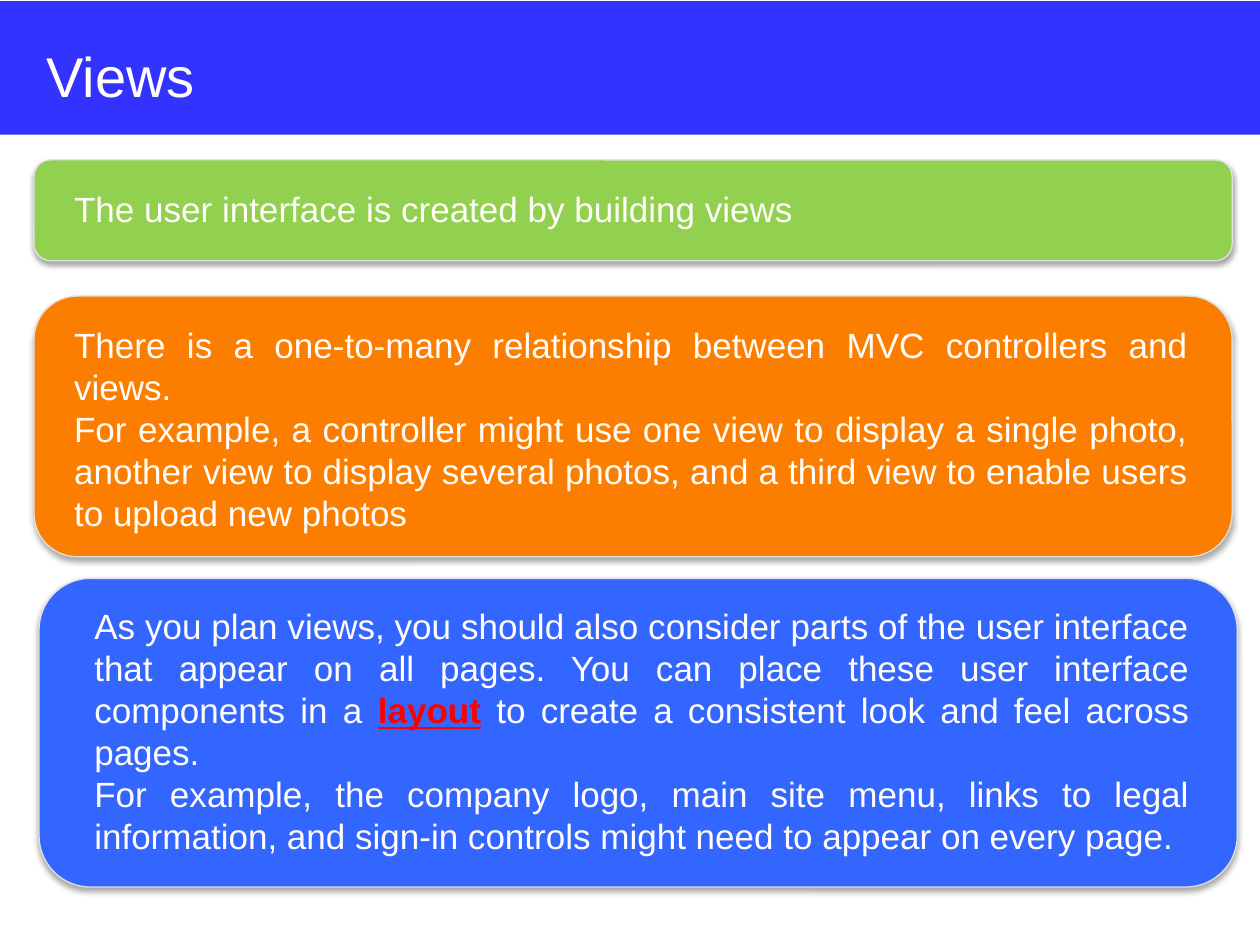
from lxml import etree
from pptx import Presentation
from pptx.dml.color import RGBColor
from pptx.enum.shapes import MSO_SHAPE as SHAPE
from pptx.enum.text import MSO_ANCHOR as ANCHOR, PP_ALIGN as ALIGN
from pptx.oxml import parse_xml
from pptx.oxml.ns import nsdecls
from pptx.util import Pt

BANNER = RGBColor(0x33, 0x33, 0xFF)
GREEN = RGBColor(0x92, 0xD0, 0x50)
ORANGE = RGBColor(0xFC, 0x7E, 0x00)
BLUE = RGBColor(0x33, 0x66, 0xFF)
BORDER = RGBColor(0xE1, 0xE1, 0xE1)
CREAM = RGBColor(0xFF, 0xFC, 0xF9)
RED = RGBColor(0xFF, 0x00, 0x00)

BODY = {"name": "Arial", "size": Pt(20)}
TITLE = {"name": "Arial", "size": Pt(32)}
KEYWORD = {"bold": True, "underline": True}

# Each card: colour, card box, text box, alignment, paragraphs of (text, is keyword)
CARDS = [
    (GREEN, (19.4, 91.4, 684.7, 57.6), (35.3, 103.7, 650.9, 31.7), ALIGN.LEFT, [
        [("The user interface is created by building views", False)],
    ]),
    (ORANGE, (19.4, 169.2, 684.7, 149), (35.3, 181.4, 650.9, 128.2), ALIGN.JUSTIFY, [
        [("There is a one-to-many relationship between MVC controllers and views. ", False)],
        [("For example, a controller might use one view to display a single photo, "
          "another view to display several photos, and a third view to enable users "
          "to upload new photos", False)],
    ]),
    (BLUE, (22.3, 330.5, 684.7, 176.4), (46.8, 342, 640.1, 152.6), ALIGN.JUSTIFY, [
        [("As you plan views, you should also consider parts of the user interface "
          "that appear on all pages. You can place these user interface components "
          "in a ", False),
         ("layout", True),
         (" to create a consistent look and feel across pages.", False)],
        [("For example, the company logo, main site menu, links to legal information, "
          "and sign-in controls might need to appear on every page.", False)],
    ]),
]


def points(box):
    return [Pt(v) for v in box]


def add_block(s, kind, box, color):
    sp = s.shapes.add_shape(kind, *points(box))
    sp.shadow.inherit = False
    sp.fill.solid()
    sp.fill.fore_color.rgb = color
    sp.line.fill.background()
    return sp


def add_soft_shadow(sp):
    effects = sp._element.spPr.find(
        "{http://schemas.openxmlformats.org/drawingml/2006/main}effectLst")
    effects.append(parse_xml(
        f'<a:outerShdw {nsdecls("a")} blurRad="{Pt(3.1)}" dist="{Pt(1.8)}" '
        'dir="5400000" rotWithShape="0"><a:srgbClr val="000000">'
        '<a:alpha val="35000"/></a:srgbClr></a:outerShdw>'))


def add_card(s, box, color):
    sp = add_block(s, SHAPE.ROUNDED_RECTANGLE, box, color)
    sp.line.color.rgb = BORDER
    sp.line.width = Pt(0.75)
    add_soft_shadow(sp)


def add_text(s, box, paragraphs, style, align=ALIGN.LEFT):
    tf = s.shapes.add_textbox(*points(box)).text_frame
    tf.word_wrap = True
    tf.vertical_anchor = ANCHOR.TOP
    for i, runs in enumerate(paragraphs):
        p = tf.paragraphs[0] if i == 0 else tf.add_paragraph()
        p.alignment = align
        for text, is_keyword in runs:
            r = p.add_run()
            r.text = text
            r.font.color.rgb = RED if is_keyword else CREAM
            for key, value in (style | (KEYWORD if is_keyword else {})).items():
                setattr(r.font, key, value)


def main():
    prs = Presentation()
    prs.slide_width, prs.slide_height = Pt(720), Pt(540)
    s = prs.slides.add_slide(prs.slide_layouts[6])

    # Title banner
    add_block(s, SHAPE.RECTANGLE, (0, 0.7, 720, 76.3), BANNER)
    add_text(s, (19.4, 20.2, 684.7, 44.6), [[("Views", False)]], TITLE)

    # Cards with their text
    for color, card_box, text_box, align, paragraphs in CARDS:
        add_card(s, card_box, color)
        add_text(s, text_box, paragraphs, BODY, align)

    prs.save("out.pptx")


main()
